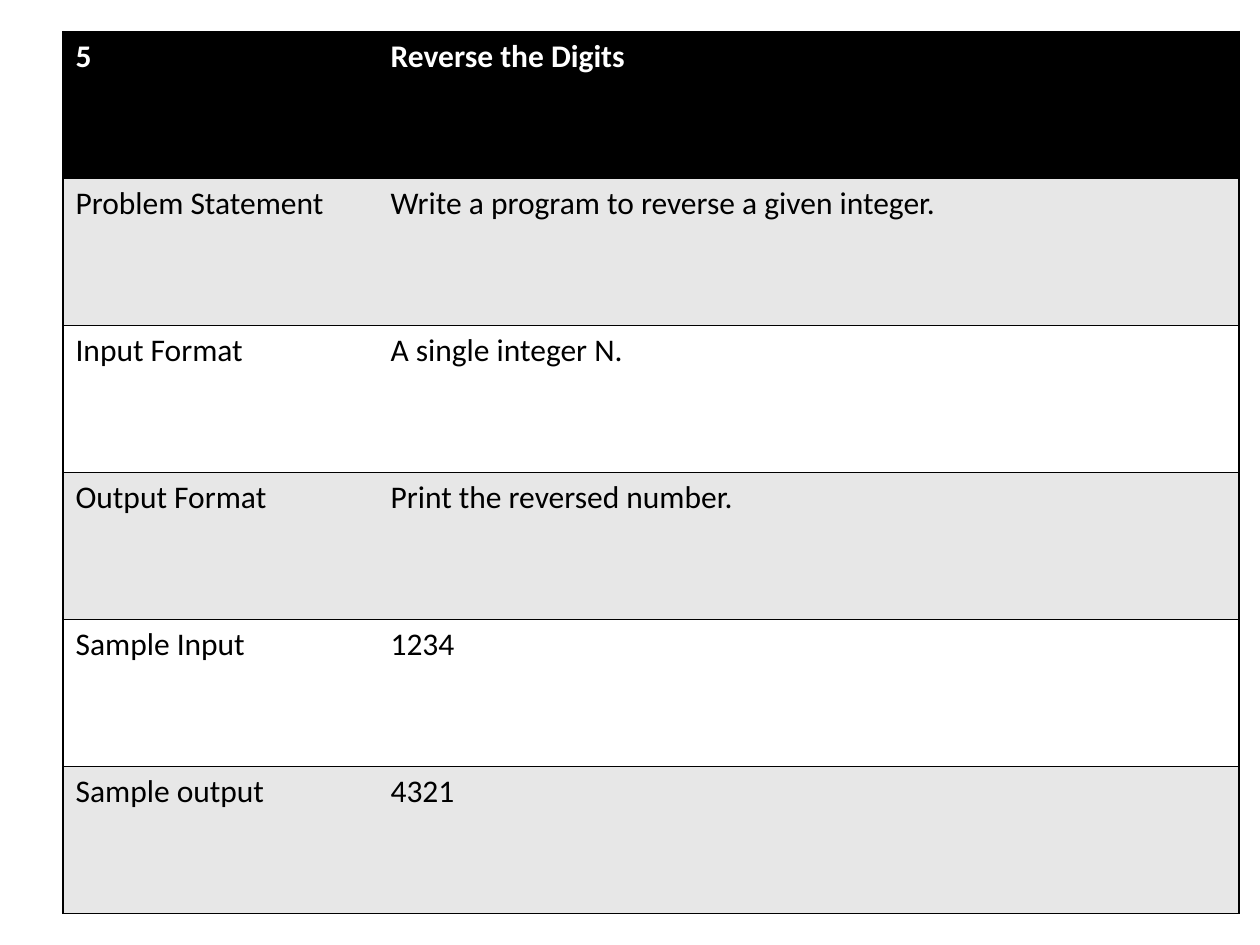
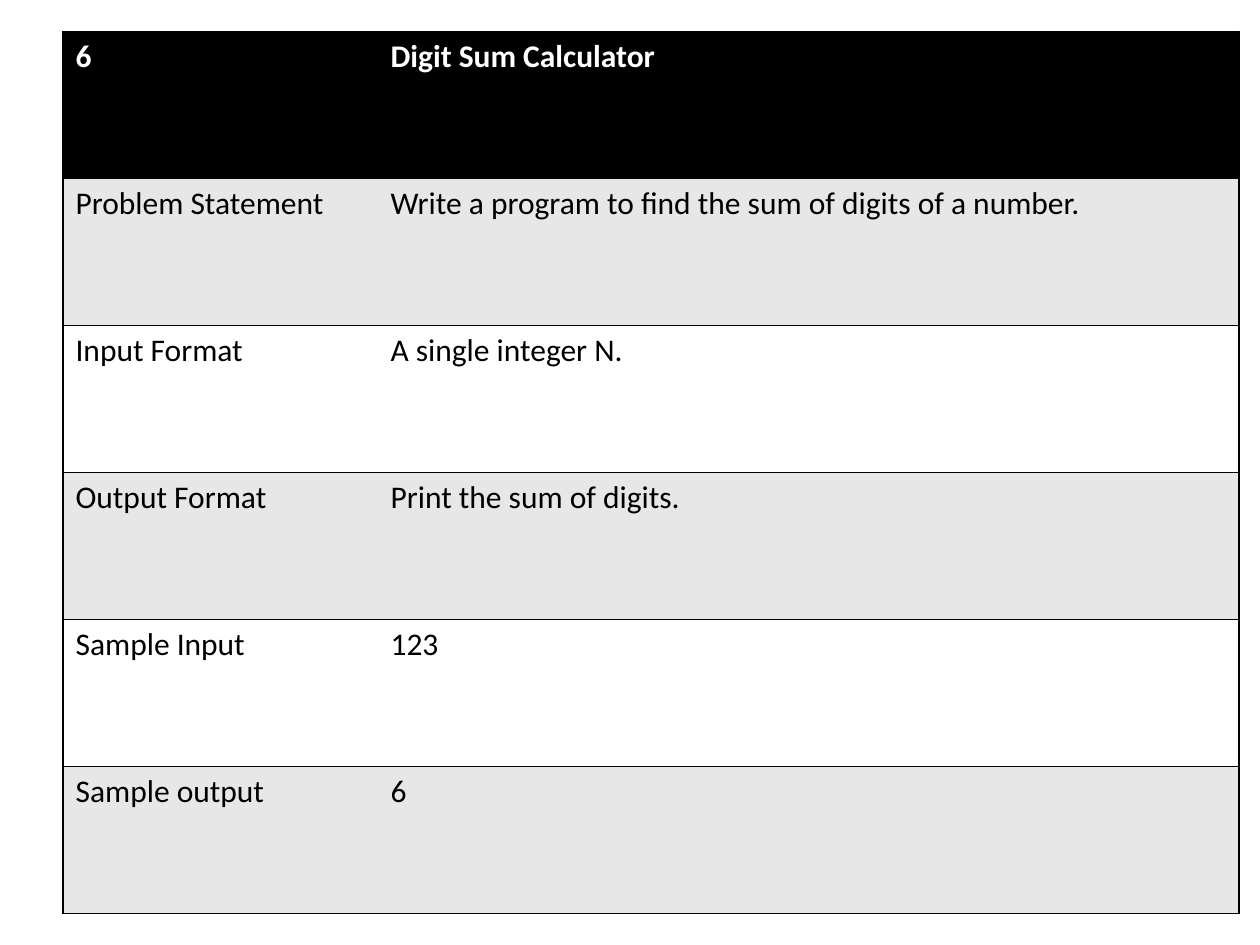
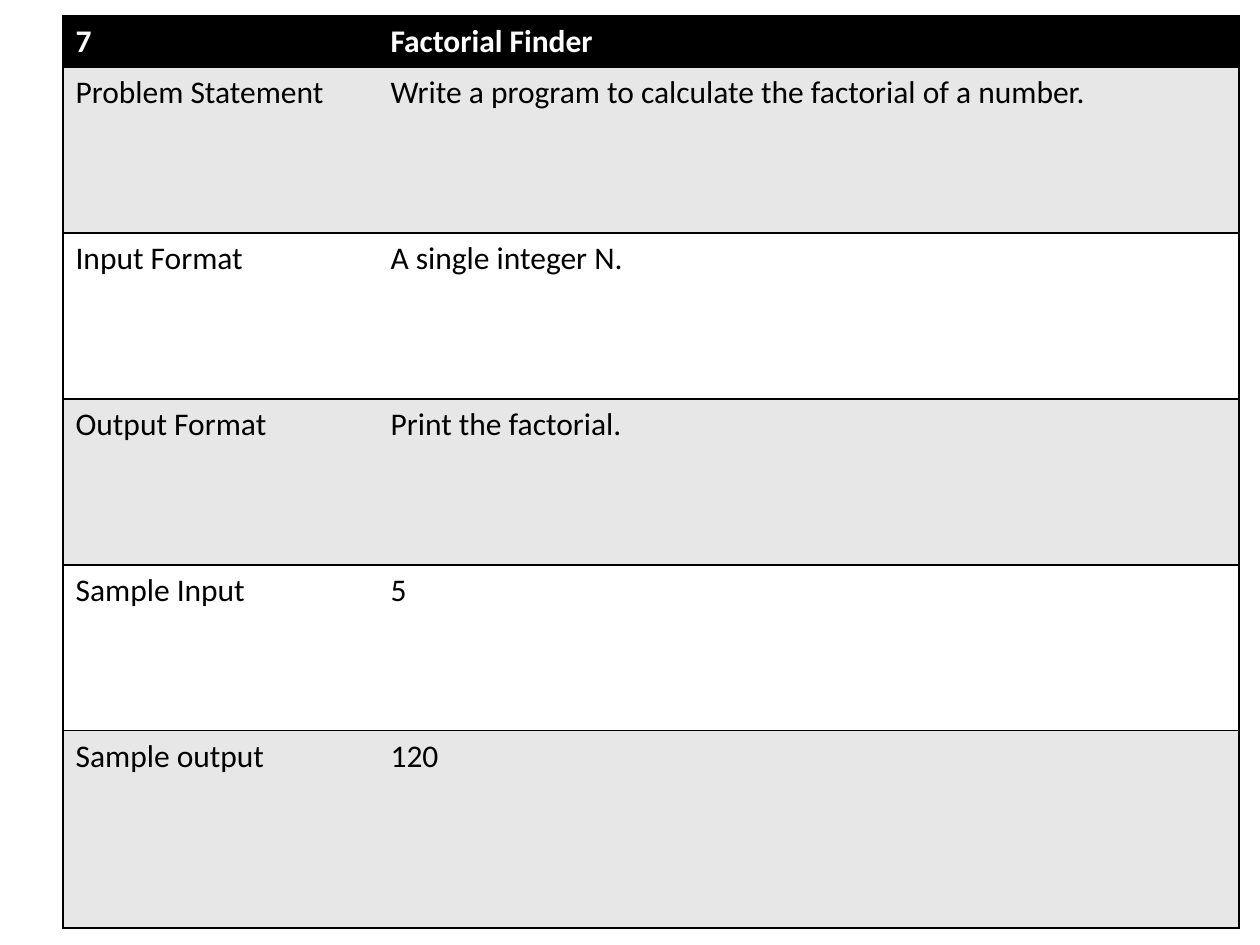
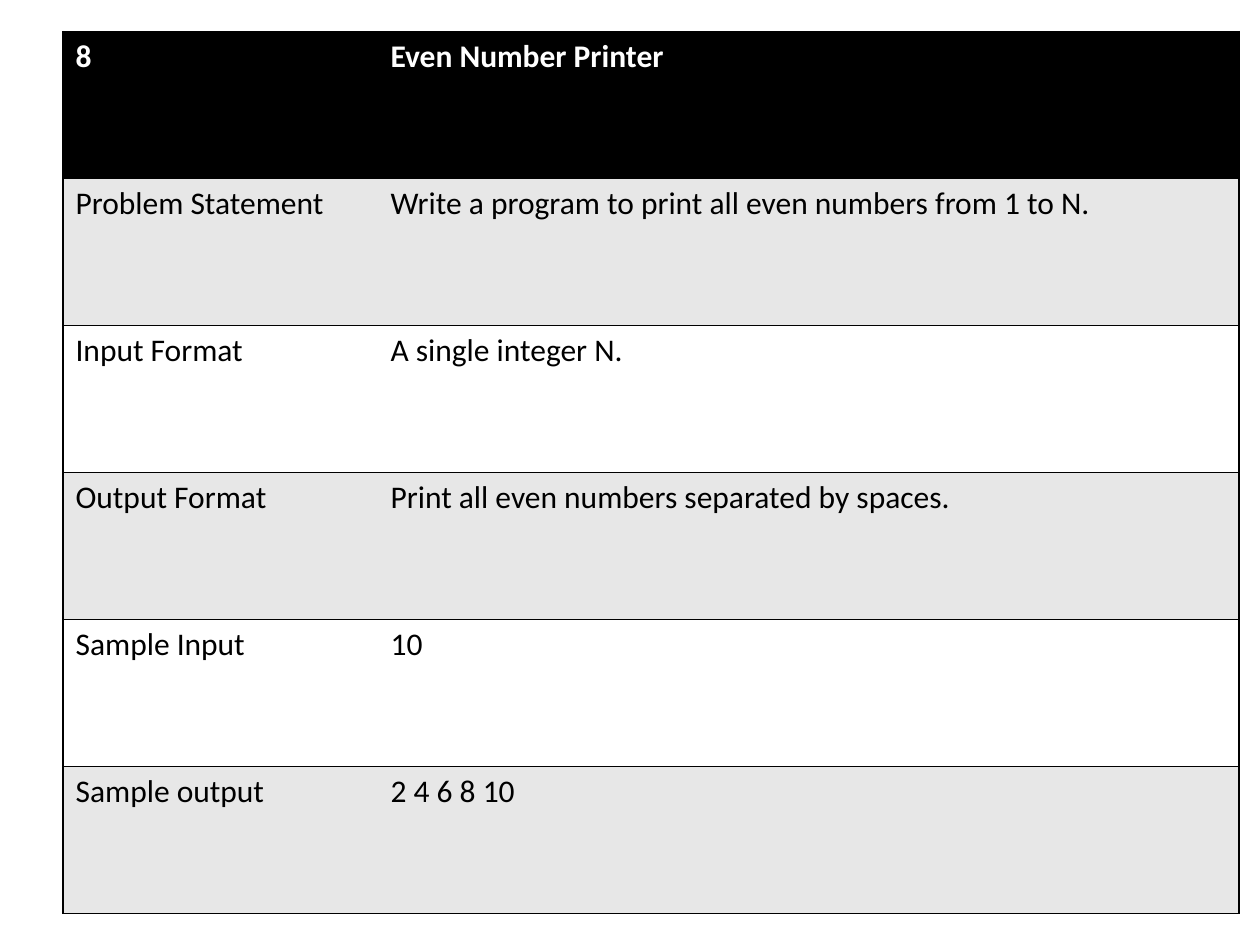
from dataclasses import dataclass

from lxml import etree
from pptx import Presentation
from pptx.dml.color import RGBColor
from pptx.oxml.ns import qn
from pptx.util import Pt

PX = 7620  # EMU in one px: 120 px to the inch
PAGE_WIDTH, PAGE_HEIGHT = 1200, 900
BLANK_LAYOUT = 6
TABLE_LEFT = 60
COLUMN_WIDTHS = (300, 820)
EVEN_TOP, EVEN_ROWS = 30, (140,) * 6
COMPACT_TOP, COMPACT_ROWS = 15, (49, 158, 158, 158, 158, 188)
LABELS = ("Problem Statement", "Input Format", "Output Format",
          "Sample Input", "Sample output")


@dataclass(frozen=True)
class Theme:
    font: str = "Calibri"
    text_size: int = 18
    border_width: int = 1
    ink: str = "000000"
    paper: str = "FFFFFF"
    band: str = "E7E7E7"


@dataclass(frozen=True)
class Problem:
    number: str
    title: str
    answers: tuple
    top: int = EVEN_TOP
    row_heights: tuple = EVEN_ROWS

    def rows(self):
        return [(self.number, self.title), *zip(LABELS, self.answers)]


PROBLEMS = (
    Problem("5", "Reverse the Digits",
            ("Write a program to reverse a given integer.",
             "A single integer N.", "Print the reversed number.",
             "1234", "4321")),
    Problem("6", "Digit Sum Calculator",
            ("Write a program to find the sum of digits of a number.",
             "A single integer N.", "Print the sum of digits.",
             "123", "6")),
    Problem("7", "Factorial Finder",
            ("Write a program to calculate the factorial of a number.",
             "A single integer N.", "Print the factorial.",
             "5", "120"),
            COMPACT_TOP, COMPACT_ROWS),
    Problem("8", "Even Number Printer",
            ("Write a program to print all even numbers from 1 to N.",
             "A single integer N.",
             "Print all even numbers separated by spaces.",
             "10", "2 4 6 8 10")),
)


class ProblemDeck:
    def __init__(self, theme):
        self.theme = theme
        self.deck = Presentation()
        self.deck.slide_width = PAGE_WIDTH * PX
        self.deck.slide_height = PAGE_HEIGHT * PX
        self.page = None

    def add_page(self):
        layout = self.deck.slide_layouts[BLANK_LAYOUT]
        self.page = self.deck.slides.add_slide(layout)

    def add_problem_table(self, problem):
        rows = problem.rows()
        frame = self.page.shapes.add_table(
            len(rows), len(COLUMN_WIDTHS), TABLE_LEFT * PX, problem.top * PX,
            sum(COLUMN_WIDTHS) * PX, sum(problem.row_heights) * PX)
        table = frame.table
        for column, width in zip(table.columns, COLUMN_WIDTHS):
            column.width = width * PX
        for row, height in zip(table.rows, problem.row_heights):
            row.height = height * PX
        for row_index, texts in enumerate(rows):
            for column_index, text in enumerate(texts):
                cell = table.cell(row_index, column_index)
                self.set_borders(cell, column_index)
                self.fill_cell(cell, text, row_index)

    def set_borders(self, cell, column_index):
        """Rule every side except the one between the columns."""
        properties = cell._tc.get_or_add_tcPr()
        open_side = "R" if column_index == 0 else "L"
        for side in "LRTB":
            line = etree.SubElement(properties, qn(f"a:ln{side}"),
                                    w=str(Pt(self.theme.border_width)))
            if side == open_side:
                etree.SubElement(line, qn("a:noFill"))
            else:
                fill = etree.SubElement(line, qn("a:solidFill"))
                etree.SubElement(fill, qn("a:srgbClr"), val=self.theme.ink)

    def fill_cell(self, cell, text, row_index):
        theme = self.theme
        is_header = row_index == 0
        if is_header:
            background, ink = theme.ink, theme.paper
        else:
            background = theme.band if row_index % 2 else theme.paper
            ink = theme.ink
        cell.fill.solid()
        cell.fill.fore_color.rgb = RGBColor.from_string(background)
        span = cell.text_frame.paragraphs[0].add_run()
        span.text = text
        formats = {"name": theme.font, "size": Pt(theme.text_size),
                   "bold": is_header}
        for name, value in formats.items():
            setattr(span.font, name, value)
        span.font.color.rgb = RGBColor.from_string(ink)


def main():
    builder = ProblemDeck(Theme())
    for problem in PROBLEMS:
        builder.add_page()
        builder.add_problem_table(problem)
    builder.deck.save("out.pptx")


if __name__ == "__main__":
    main()
